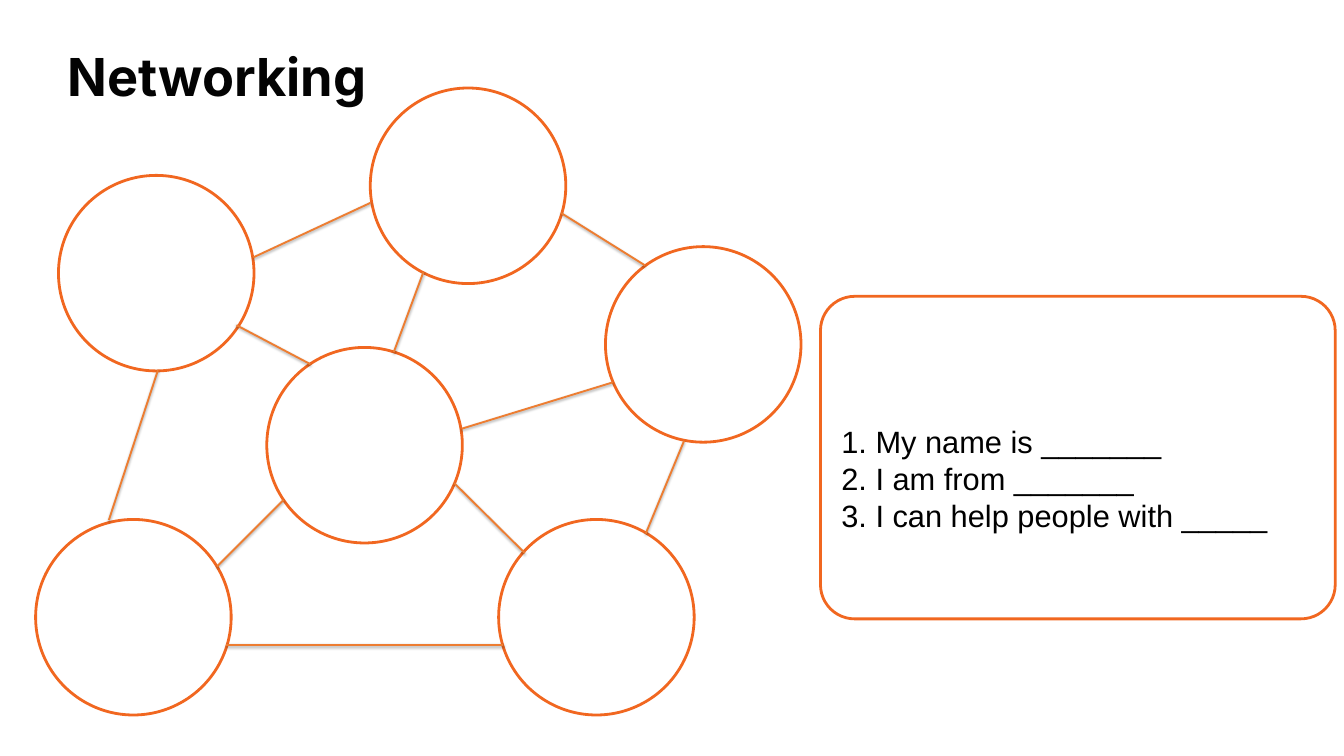
from lxml import etree
from pptx import Presentation
from pptx.dml.color import RGBColor
from pptx.enum.shapes import MSO_CONNECTOR, MSO_SHAPE
from pptx.enum.text import MSO_ANCHOR, PP_ALIGN
from pptx.oxml.ns import qn
from pptx.util import Inches, Pt

STRAIGHT = MSO_CONNECTOR.STRAIGHT
OVAL, ROUNDED = MSO_SHAPE.OVAL, MSO_SHAPE.ROUNDED_RECTANGLE
TOP, MIDDLE = MSO_ANCHOR.TOP, MSO_ANCHOR.MIDDLE
LEFT = PP_ALIGN.LEFT

OUTLINE = RGBColor(0xF1, 0x67, 0x20)
LINK = RGBColor(0xED, 0x7D, 0x31)
TITLE_INK = RGBColor(0x03, 0x03, 0x03)
BLACK = RGBColor(0, 0, 0)

DIAMETER = 2.91
# Top-left corners of the people circles, relative to the network
PEOPLE = [(4.98, 0), (3.44, 3.86), (0, 6.42), (8.48, 2.36), (6.89, 6.42), (0.34, 1.3)]
# Ends of the links, relative to the network
LINKS = [
    ((3.24, 2.52), (4.98, 1.71)),
    ((1.09, 6.43), (1.82, 4.2)),
    ((2.84, 8.29), (6.96, 8.29)),
    ((9.08, 6.63), (9.65, 5.25)),
    ((6.34, 5.07), (8.59, 4.38)),
    ((2.7, 7.12), (3.69, 6.13)),
    ((2.99, 3.53), (4.09, 4.11)),
    ((6.23, 5.88), (7.28, 6.92)),
    ((7.82, 1.86), (9.07, 2.64)),
    ((5.77, 2.74), (5.33, 3.93)),
]
PROMPTS = [
    "1. My name is _______",
    "2. I am from _______",
    "3. I can help people with _____",
]


def set_margins(frame, margin):
    frame.margin_left = frame.margin_right = margin
    frame.margin_top = frame.margin_bottom = margin


def format_runs(para, name, size, color, bold=False):
    for span in para.runs:
        span.font.name = name
        span.font.size = Pt(size)
        span.font.color.rgb = color
        span.font.bold = bold


def add_outlined(shapes, kind, left, top, width, height):
    shape = shapes.add_shape(kind, Inches(left), Inches(top), Inches(width), Inches(height))
    shape.shadow.inherit = False
    shape.fill.background()
    shape.line.color.rgb = OUTLINE
    shape.line.width = Pt(3)
    return shape


def add_soft_shadow(connector):
    effects = etree.SubElement(connector._element.spPr, qn("a:effectLst"))
    shadow = etree.SubElement(
        effects, qn("a:outerShdw"), blurRad=str(Pt(3)), dist=str(Pt(1.6)),
        dir="5400000", rotWithShape="0")
    color = etree.SubElement(shadow, qn("a:srgbClr"), val="000000")
    etree.SubElement(color, qn("a:alpha"), val="37000")


def place_title(page, left, top, width, height):
    title = page.shapes.title
    title.left, title.top = Inches(left), Inches(top)
    title.width, title.height = Inches(width), Inches(height)
    frame = title.text_frame
    frame.text = "Networking"
    frame.word_wrap = True
    frame.vertical_anchor = TOP
    set_margins(frame, 0)
    para = frame.paragraphs[0]
    para.alignment = LEFT
    para.line_spacing = 0.9
    format_runs(para, "Inter", 56, TITLE_INK, bold=True)


def place_network(page, left, top):
    """Draw the circles to fill in and the links between them."""
    for x, y in PEOPLE:
        add_outlined(page.shapes, OVAL, left + x, top + y, DIAMETER, DIAMETER)
    for (x1, y1), (x2, y2) in LINKS:
        link = page.shapes.add_connector(
            STRAIGHT, Inches(left + x1), Inches(top + y1),
            Inches(left + x2), Inches(top + y2))
        link.line.color.rgb = LINK
        link.line.width = Pt(2)
        add_soft_shadow(link)


def place_prompt_card(page, left, top, width, height):
    card = page.shapes.add_group_shape()
    frame_shape = add_outlined(card.shapes, ROUNDED, left, top, width, height)
    frame_shape.adjustments[0] = 0.106
    box = card.shapes.add_textbox(
        Inches(left + 0.26), Inches(top + 0.96), Inches(width - 0.53), Inches(height - 1.31))
    frame = box.text_frame
    frame.word_wrap = True
    frame.vertical_anchor = MIDDLE
    set_margins(frame, Inches(0.05))
    frame.text = "\n".join(PROMPTS)
    for para in frame.paragraphs:
        format_runs(para, "Arial", 33, BLACK)


def main():
    deck = Presentation()
    deck.slide_width, deck.slide_height = Inches(20), Inches(11.25)
    page = deck.slides.add_slide(deck.slide_layouts[5])
    place_title(page, 1, 0.77, 13.38, 0.93)
    place_network(page, 0.53, 1.31)
    place_prompt_card(page, 12.21, 4.41, 7.66, 4.8)
    deck.save("out.pptx")


if __name__ == "__main__":
    main()
